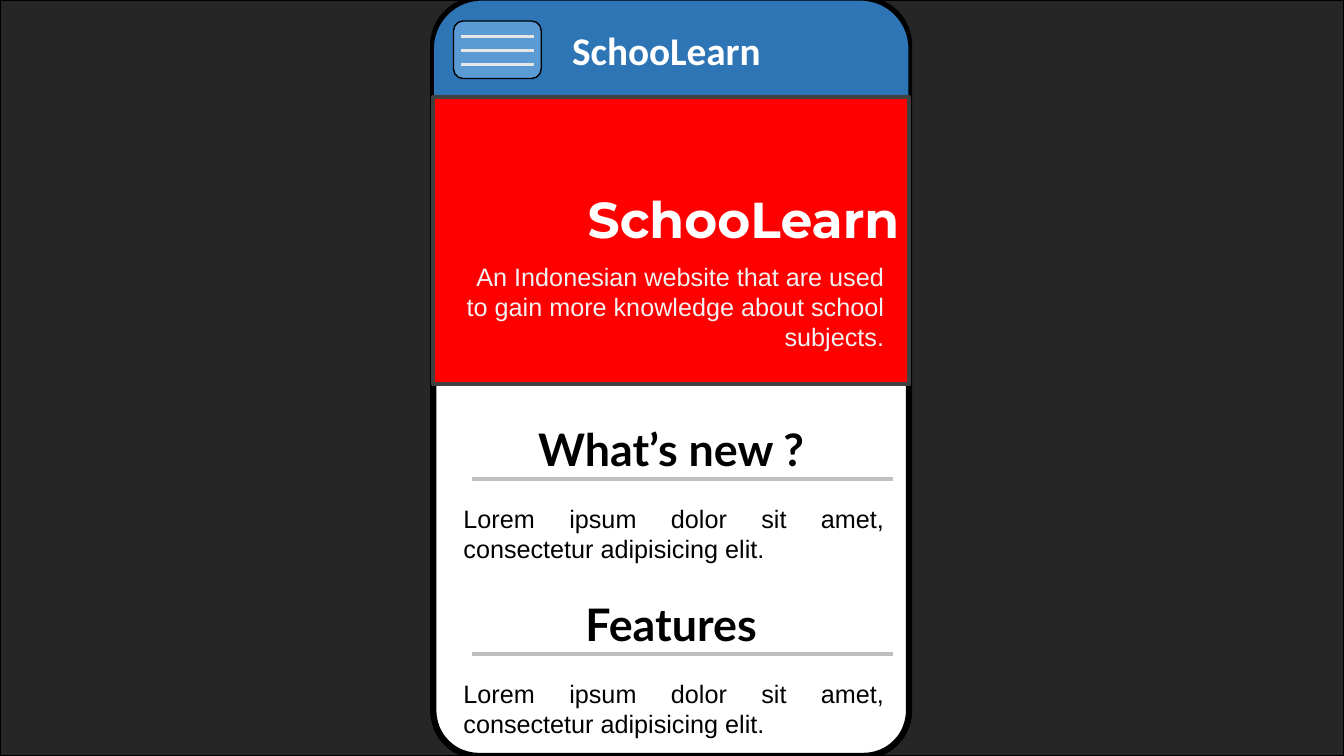
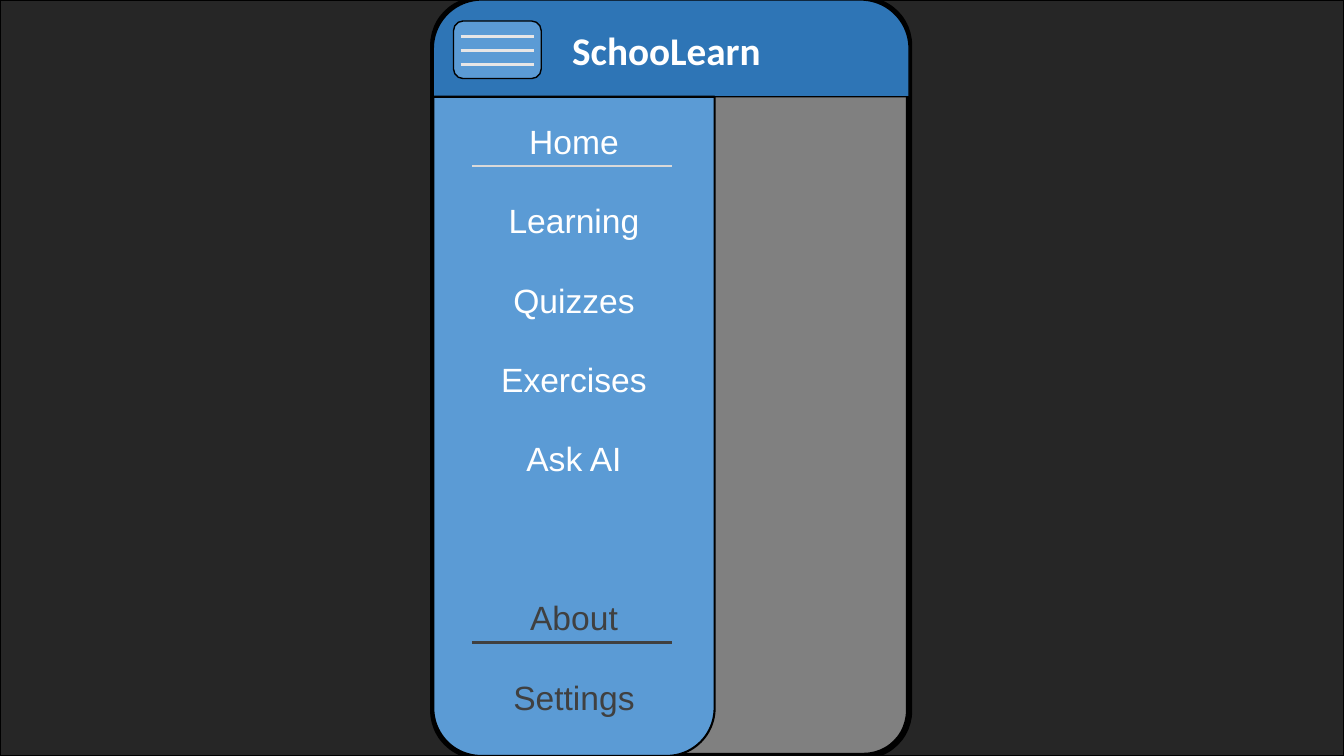
"""Build the two phone mock-up slides."""
from pptx import Presentation
from pptx.dml.color import RGBColor
from pptx.enum.shapes import MSO_CONNECTOR, MSO_SHAPE
from pptx.enum.text import PP_ALIGN
from pptx.oxml.ns import qn
from pptx.util import Cm, Pt
from lxml import etree

RECT = MSO_SHAPE.RECTANGLE
ROUNDED = MSO_SHAPE.ROUNDED_RECTANGLE
ROUND_TWO = MSO_SHAPE.ROUND_2_SAME_RECTANGLE
STRAIGHT = MSO_CONNECTOR.STRAIGHT
LEFT, CENTER, RIGHT, JUSTIFY = PP_ALIGN.LEFT, PP_ALIGN.CENTER, PP_ALIGN.RIGHT, PP_ALIGN.JUSTIFY

BLACK, WHITE = "000000", "FFFFFF"
BACKDROP, DARK = "262626", "404040"
BLUE, LIGHT_BLUE = "2E75B6", "5B9BD5"
RED, GRAY = "FF0000", "808080"
SILVER, PALE, MIST, SNOW = "BFBFBF", "D9D9D9", "E7E6E6", "F2F2F2"

PAGE_WIDTH, PAGE_HEIGHT = 33.87, 19.05
PHONE_LEFT, PHONE_WIDTH = 10.92, 11.99
HEADER_HEIGHT = 2.44
BANNER_HEIGHT = 7.24
DRAWER_WIDTH = 7.09
INSET = 0.51
RULE_INSET = 0.97
SECTION_TOP, SECTION_STEP = 10.49, 4.41
ITEM_TOP, ITEM_STEP, ITEM_HEIGHT = 0.48, 2.0, 1.27

BRAND = "SchooLearn"
LOREM = "Lorem ipsum dolor sit amet, consectetur adipisicing elit."
TAGLINE = ("An Indonesian website that are used",
           "to gain more knowledge about school subjects.")
SECTIONS = ("What’s new ?", "Features")
MENU = (
    (0, "Home", WHITE, PALE),
    (1, "Learning", WHITE, None),
    (2, "Quizzes", WHITE, None),
    (3, "Exercises", WHITE, None),
    (4, "Ask AI", WHITE, None),
    (6, "About", DARK, DARK),
    (7, "Settings", DARK, None),
)


def color(value):
    """Turn a hex string into a colour."""
    return RGBColor.from_string(value)


def add_panel(page, kind, box, fill, line=BLACK, weight=1, corners=()):
    """Draw a filled and outlined shape in a box of centimetres."""
    panel = page.shapes.add_shape(kind, *map(Cm, box))
    panel.shadow.inherit = False
    panel.fill.solid()
    panel.fill.fore_color.rgb = color(fill)
    panel.line.color.rgb = color(line)
    panel.line.width = Pt(weight)
    for index, corner in enumerate(corners):
        panel.adjustments[index] = corner
    return panel


def add_rule(page, left, right, top, line, weight):
    """Draw a horizontal line."""
    rule = page.shapes.add_connector(STRAIGHT, Cm(left), Cm(top), Cm(right), Cm(top))
    rule.line.color.rgb = color(line)
    rule.line.width = Pt(weight)
    etree.SubElement(rule._element.spPr, qn("a:effectLst"))


def add_text(page, box, *lines, size=18, font="Arial", ink=BLACK, bold=False, align=LEFT):
    """Place a text box with one paragraph for each line."""
    frame = page.shapes.add_textbox(*map(Cm, box)).text_frame
    frame.word_wrap = True
    for index, line in enumerate(lines):
        para = frame.add_paragraph() if index else frame.paragraphs[0]
        para.alignment = align
        span = para.add_run()
        span.text = line
        span.font.size = Pt(size)
        span.font.name = font
        span.font.bold = bold
        span.font.color.rgb = color(ink)


def add_phone(deck, screen):
    """Add a page with the backdrop and an empty phone."""
    page = deck.slides.add_slide(deck.slide_layouts[6])
    add_panel(page, RECT, (0, 0, PAGE_WIDTH, PAGE_HEIGHT), BACKDROP)
    add_panel(page, ROUNDED, (PHONE_LEFT, 0, PHONE_WIDTH, PAGE_HEIGHT), screen,
              weight=4.5, corners=(0.095,))
    return page


def add_menu_button(page, left, top, width, height):
    """Draw the button with three bars."""
    add_panel(page, ROUNDED, (left, top, width, height), LIGHT_BLUE)
    for index in range(3):
        add_rule(page, left + 0.18, left + width - 0.18,
                 top + 0.38 + 0.36 * index, MIST, 2.25)


def add_header(page, left, top, width, height):
    """Draw the app bar with its menu button and name."""
    add_panel(page, ROUND_TWO, (left, top, width, height), BLUE, corners=(0.5, 0))
    add_text(page, (left + 3.25, top + 0.53, width - 3.25, 1.45), BRAND,
             size=28, font="Calibri", ink=WHITE, bold=True)
    add_menu_button(page, left + INSET, top + 0.53, 2.21, 1.45)


def add_banner(page, left, top, width, height):
    """Draw the welcome banner with its name and tagline."""
    add_panel(page, RECT, (left, top, width, height), RED, line=DARK, weight=3)
    add_text(page, (left, top + 2.18, width, 1.8), BRAND,
             size=36, font="Montserrat", ink=WHITE, bold=True, align=RIGHT)
    add_text(page, (left + INSET, top + 4.01, width - 0.89, 2.57), *TAGLINE,
             ink=SNOW, align=RIGHT)


def add_section(page, left, top, width, heading):
    """Place an underlined heading above its paragraph."""
    add_text(page, (left, top, width, 1.63), heading,
             size=32, font="Lato", bold=True, align=CENTER)
    add_text(page, (left + INSET, top + 2.06, width - 0.89, 1.8), LOREM, align=JUSTIFY)
    add_rule(page, left + RULE_INSET, left + width - 0.41, top + 1.58, SILVER, 3)


def add_drawer(page, left, top, width, height):
    """Draw the side menu, one item for each occupied row."""
    add_panel(page, ROUND_TWO, (left, top, width, height), LIGHT_BLUE,
              weight=1.5, corners=(0, 0.17))
    for row, label, ink, underline in MENU:
        item_top = top + ITEM_TOP + ITEM_STEP * row
        add_text(page, (left, item_top, width, ITEM_HEIGHT), label,
                 size=24, ink=ink, align=CENTER)
        if underline:
            add_rule(page, left + RULE_INSET, left + width - 1.07,
                     item_top + ITEM_HEIGHT, underline, 1.5)


def build_home(deck):
    """Build the home screen."""
    page = add_phone(deck, WHITE)
    add_header(page, PHONE_LEFT, 0, PHONE_WIDTH, HEADER_HEIGHT)
    add_banner(page, PHONE_LEFT, HEADER_HEIGHT, PHONE_WIDTH, BANNER_HEIGHT)
    for index, heading in enumerate(SECTIONS):
        add_section(page, PHONE_LEFT, SECTION_TOP + SECTION_STEP * index,
                    PHONE_WIDTH, heading)


def build_menu(deck):
    """Build the screen with the side menu open."""
    page = add_phone(deck, GRAY)
    add_header(page, PHONE_LEFT, 0, PHONE_WIDTH, HEADER_HEIGHT)
    add_drawer(page, PHONE_LEFT, HEADER_HEIGHT, DRAWER_WIDTH, PAGE_HEIGHT - HEADER_HEIGHT)


def main():
    """Build and save the deck."""
    deck = Presentation()
    deck.slide_width, deck.slide_height = Cm(PAGE_WIDTH), Cm(PAGE_HEIGHT)
    build_home(deck)
    build_menu(deck)
    deck.save("out.pptx")


if __name__ == "__main__":
    main()
